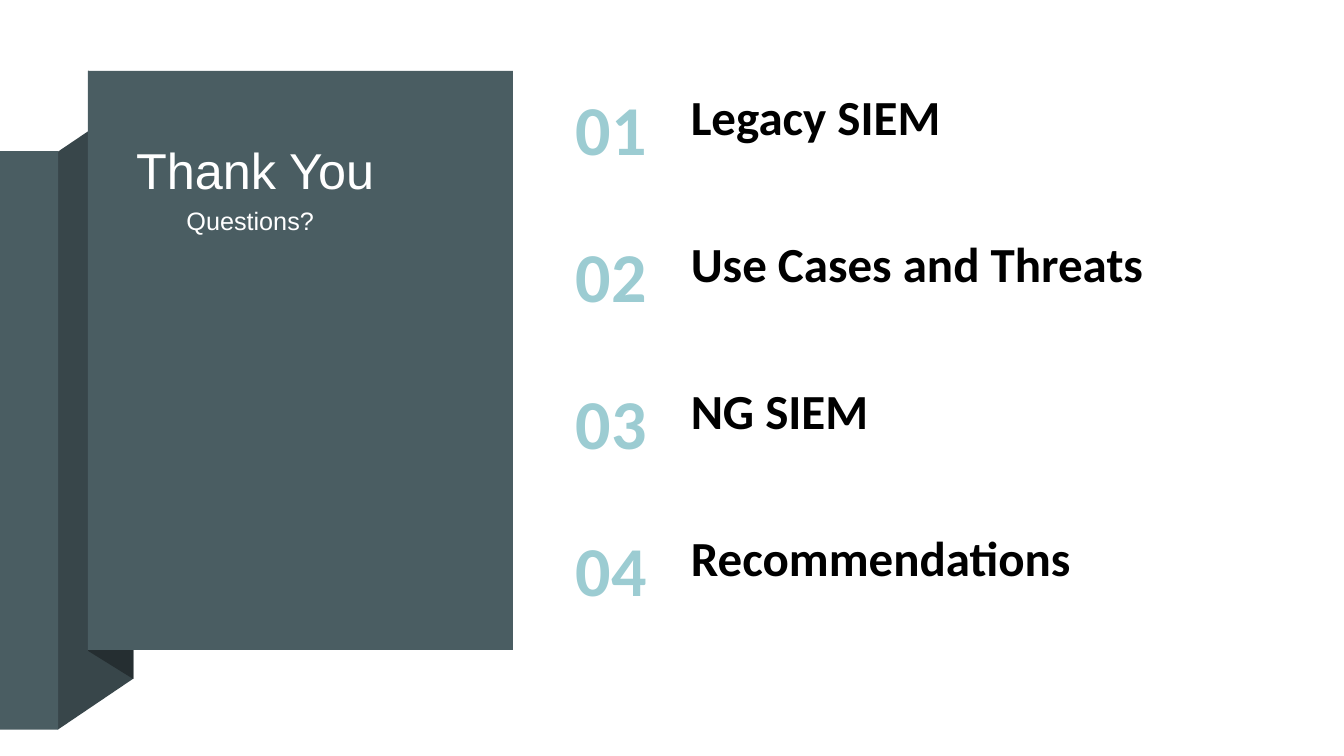
from dataclasses import dataclass

from pptx import Presentation
from pptx.dml.color import RGBColor
from pptx.enum.shapes import MSO_SHAPE
from pptx.enum.text import MSO_ANCHOR, MSO_AUTO_SIZE, PP_ALIGN
from pptx.util import Pt

RECTANGLE = MSO_SHAPE.RECTANGLE
MIDDLE, TOP = MSO_ANCHOR.MIDDLE, MSO_ANCHOR.TOP
LEFT, CENTER = PP_ALIGN.LEFT, PP_ALIGN.CENTER
NO_AUTOFIT = MSO_AUTO_SIZE.NONE
TITLE_ONLY = 5


@dataclass(frozen=True)
class Theme:
    panel: str = "4A5D62"
    side: str = "38464A"
    fold: str = "252E31"
    number: str = "9CCCD2"
    white: str = "FFFFFF"
    black: str = "000000"
    title_font: str = "Arial"
    agenda_font: str = "Calibri"
    title_size: float = 36
    subtitle_size: float = 18
    heading_size: float = 35
    number_size: float = 50


THEME = Theme()
TOPICS = ["Legacy SIEM", "Use Cases and Threats", "NG SIEM", "Recommendations"]
ROW_PITCH = 105


def paint(shape, color):
    shape.shadow.inherit = False
    shape.fill.solid()
    shape.fill.fore_color.rgb = RGBColor.from_string(color)
    shape.line.fill.background()


def add_panel(slide, left, top, width, height):
    panel = slide.shapes.add_shape(RECTANGLE, Pt(left), Pt(top), Pt(width), Pt(height))
    paint(panel, THEME.panel)


def add_polygon(slide, points, color):
    corners = [(Pt(x), Pt(y)) for x, y in points]
    builder = slide.shapes.build_freeform(*corners[0])
    builder.add_line_segments(corners[1:], close=True)
    paint(builder.convert_to_shape(), color)


def write(paragraph, text, font, size, color, bold=False, alignment=LEFT, spacing=0.9):
    paragraph.alignment = alignment
    paragraph.line_spacing = spacing
    paragraph.space_before = Pt(0)
    paragraph.space_after = Pt(6)
    run = paragraph.add_run()
    run.text = text
    run.font.name = font
    run.font.size = Pt(size)
    run.font.bold = bold
    run.font.color.rgb = RGBColor.from_string(color)


def set_title(slide):
    title = slide.shapes.title
    title.left, title.top, title.width, title.height = Pt(90), Pt(78.5), Pt(250.5), Pt(116)
    frame = title.text_frame
    frame.word_wrap = True
    frame.auto_size = NO_AUTOFIT
    frame.vertical_anchor = MIDDLE
    write(frame.paragraphs[0], "Thank You", THEME.title_font, THEME.title_size, THEME.white)
    write(frame.add_paragraph(), "\tQuestions?", THEME.title_font, THEME.subtitle_size, THEME.white)


def add_label(slide, left, top, width, height, text, size, color, **layout):
    box = slide.shapes.add_textbox(Pt(left), Pt(top), Pt(width), Pt(height))
    frame = box.text_frame
    frame.word_wrap = True
    frame.vertical_anchor = TOP
    frame.margin_left = frame.margin_right = Pt(8.8)
    frame.margin_top = frame.margin_bottom = Pt(3.6)
    write(frame.paragraphs[0], text, THEME.agenda_font, size, color, bold=True, **layout)


def add_topic(slide, index, topic):
    offset = index * ROW_PITCH
    add_label(slide, 484.6, 63.2 + offset, 422, 45.4, topic, THEME.heading_size, THEME.black)
    add_label(slide, 394, 57.8 + offset, 85.5, 74, f"{index + 1:02}",
              THEME.number_size, THEME.number, alignment=CENTER, spacing=1.0)


def main():
    presentation = Presentation()
    presentation.slide_width, presentation.slide_height = Pt(960), Pt(540)
    slide = presentation.slides.add_slide(presentation.slide_layouts[TITLE_ONLY])
    add_polygon(slide, [(41.2, 521.3), (95.2, 484.8), (95.2, 72), (41.2, 108.5)], THEME.side)
    add_panel(slide, 0, 108, 41.5, 413.3)
    add_polygon(slide, [(63, 465), (95.2, 485), (95.2, 71), (63, 50.5)], THEME.fold)
    add_panel(slide, 62.8, 50.6, 303.6, 413.6)
    set_title(slide)
    title_element = slide.shapes.title.element
    slide.shapes.element.append(title_element)
    for index, topic in enumerate(TOPICS):
        add_topic(slide, index, topic)
    presentation.save("out.pptx")


if __name__ == "__main__":
    main()
